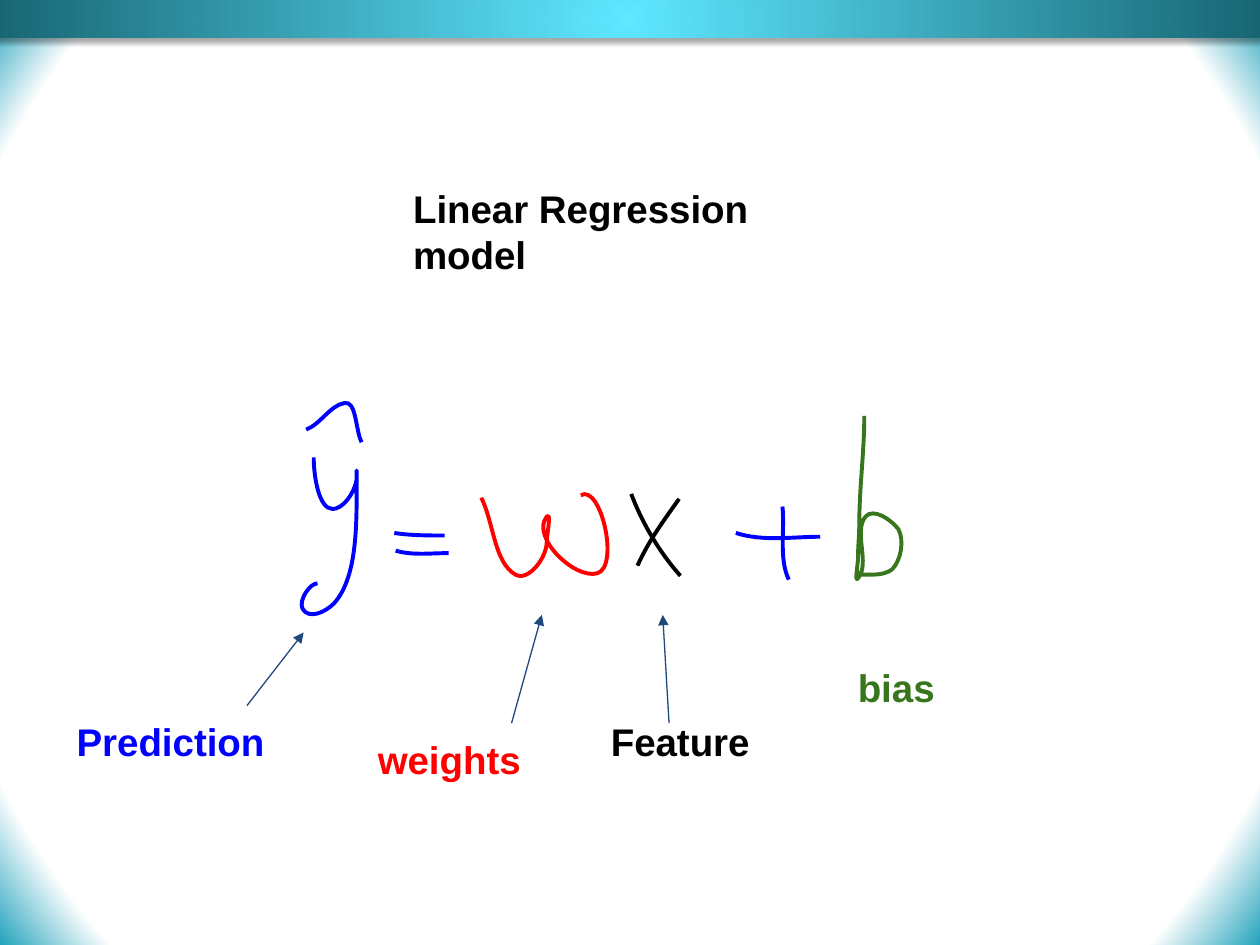
from lxml import etree
from pptx import Presentation
from pptx.dml.color import RGBColor
from pptx.enum.shapes import MSO_CONNECTOR, MSO_SHAPE
from pptx.enum.text import MSO_AUTO_SIZE
from pptx.oxml import parse_xml
from pptx.oxml.ns import nsdecls, qn
from pptx.util import Inches, Pt

BLACK, BLUE, RED, GREEN, NAVY = "000000", "0000FF", "FF0000", "38761D", "1F497D"
CURVE_STEPS = 20

FORMULA_STROKES = [
    (BLACK, [(5.01, 3.92), (5.1, 4.16), (5.24, 4.39), (5.4, 4.57)]),
    (BLUE, [(2.49, 3.63), (2.49, 3.78), (2.53, 4.04), (2.64, 4.04),
            (2.72, 4.04), (2.81, 3.92), (2.83, 3.81),
            (2.83, 3.78), (2.83, 3.71), (2.83, 3.74),
            (2.83, 4.1), (2.85, 4.57), (2.65, 4.79),
            (2.58, 4.86), (2.45, 4.92), (2.4, 4.83),
            (2.37, 4.76), (2.46, 4.63), (2.52, 4.63)]),
    (BLUE, [(3.13, 4.23), (3.26, 4.25), (3.4, 4.25), (3.53, 4.25)]),
    (BLUE, [(3.14, 4.37), (3.27, 4.41), (3.42, 4.39), (3.56, 4.39)]),
    (RED, [(3.82, 3.95), (3.92, 4.15), (3.92, 4.46), (4.09, 4.56),
           (4.19, 4.62), (4.34, 4.43), (4.34, 4.3),
           (4.34, 4.24), (4.38, 4.06), (4.34, 4.1),
           (4.21, 4.26), (4.56, 4.6), (4.74, 4.55),
           (4.92, 4.5), (4.77, 3.84), (4.61, 3.93)]),
    (BLACK, [(5.39, 3.96), (5.27, 4.13), (5.15, 4.29), (5.06, 4.49)]),
    (BLUE, [(5.84, 4.23), (6.06, 4.3), (6.29, 4.26), (6.51, 4.26)]),
    (BLUE, [(6.21, 4.02), (6.23, 4.21), (6.18, 4.43), (6.26, 4.6)]),
    (GREEN, [(6.86, 3.3), (6.86, 3.59), (6.82, 3.87), (6.82, 4.16),
             (6.82, 4.25), (6.81, 4.34), (6.81, 4.43),
             (6.81, 4.48), (6.78, 4.63), (6.81, 4.59),
             (6.91, 4.47), (6.77, 4.22), (6.87, 4.1),
             (6.93, 4.03), (7.07, 4.12), (7.13, 4.2),
             (7.18, 4.29), (7.15, 4.45), (7.08, 4.52),
             (7.01, 4.57), (6.92, 4.56), (6.84, 4.56),
             (6.83, 4.56), (6.8, 4.55), (6.8, 4.53)]),
    (BLUE, [(2.43, 3.41), (2.54, 3.37), (2.62, 3.22), (2.73, 3.2),
            (2.83, 3.17), (2.82, 3.41), (2.87, 3.51)]),
]


def color(value):
    return RGBColor.from_string(value)


def set_radial_fill(fill, element, stops):
    fill.solid()
    fill.fore_color.rgb = color(stops[0][1])
    stop_xml = "".join(
        f'<a:gs pos="{percent * 1000}"><a:srgbClr val="{value}"/></a:gs>'
        for percent, value in stops)
    gradient = parse_xml(
        f'<a:gradFill {nsdecls("a")} rotWithShape="1"><a:gsLst>{stop_xml}</a:gsLst>'
        '<a:path path="circle"><a:fillToRect l="50000" t="50000" r="50000" b="50000"/>'
        '</a:path></a:gradFill>')
    solid = element.find(".//" + qn("a:solidFill"))
    solid.getparent().replace(solid, gradient)


def add_top_bar(page, left, top, width, height):
    bar = page.shapes.add_shape(
        MSO_SHAPE.RECTANGLE, Inches(left), Inches(top), Inches(width), Inches(height))
    set_radial_fill(bar.fill, bar.element, [(0, "5EE7FF"), (100, "186674")])
    bar.line.fill.background()
    bar.shadow.inherit = False
    bar.element.spPr.find(qn("a:effectLst")).append(parse_xml(
        f'<a:outerShdw {nsdecls("a")} blurRad="{Pt(3.1)}" dist="{Pt(1.8)}" dir="5400000">'
        '<a:srgbClr val="000000"><a:alpha val="35000"/></a:srgbClr></a:outerShdw>'))


def add_label(page, text, value, left, top, width, height=0.57):
    box = page.shapes.add_textbox(
        Inches(left), Inches(top), Inches(width), Inches(height))
    frame = box.text_frame
    frame.word_wrap = True
    frame.auto_size = MSO_AUTO_SIZE.SHAPE_TO_FIT_TEXT
    frame.margin_left = frame.margin_right = Inches(0.1)
    frame.margin_top = frame.margin_bottom = Inches(0.1)
    para = frame.paragraphs[0]
    para.text = text
    para.font.name = "Arial"
    para.font.size = Pt(22)
    para.font.bold = True
    para.font.color.rgb = color(value)
    return box


def curve_extent(points, axis):
    reached = []
    for start in range(0, len(points) - 1, 3):
        a, b, c, d = (point[axis] for point in points[start:start + 4])
        for step in range(CURVE_STEPS + 1):
            t = step / CURVE_STEPS
            s = 1 - t
            reached.append(a * s ** 3 + 3 * b * t * s ** 2 + 3 * c * t ** 2 * s + d * t ** 3)
    return Inches(min(reached)), Inches(max(reached))


def add_stroke(group, value, points):
    left, right = curve_extent(points, 0)
    top, bottom = curve_extent(points, 1)
    builder = group.shapes.build_freeform(left, top)
    builder.add_line_segments([(right, bottom)], close=False)
    stroke = builder.convert_to_shape()
    outline = stroke.element.find(".//" + qn("a:path"))
    for segment in list(outline):
        outline.remove(segment)
    for index, (x, y) in enumerate(points):
        if index == 0:
            segment = etree.SubElement(outline, qn("a:moveTo"))
        elif index % 3 == 1:
            segment = etree.SubElement(outline, qn("a:cubicBezTo"))
        etree.SubElement(
            segment, qn("a:pt"), x=str(Inches(x) - left), y=str(Inches(y) - top))
    stroke.fill.background()
    stroke.line.color.rgb = color(value)
    stroke.line.width = Pt(2.25)
    stroke.shadow.inherit = False


def add_formula(page):
    group = page.shapes.add_group_shape()
    for value, points in FORMULA_STROKES:
        add_stroke(group, value, points)


def add_arrow(page, start, end):
    arrow = page.shapes.add_connector(
        MSO_CONNECTOR.STRAIGHT, *(Inches(length) for length in start + end))
    arrow.line.color.rgb = color(NAVY)
    arrow.line.width = Pt(0.75)
    properties = arrow.element.spPr
    etree.SubElement(properties.find(qn("a:ln")), qn("a:tailEnd"), type="triangle")
    etree.SubElement(properties, qn("a:effectLst"))
    return arrow


def main():
    deck = Presentation()
    deck.slide_width, deck.slide_height = Inches(10), Inches(7.5)
    page = deck.slides.add_slide(deck.slide_layouts[6])
    set_radial_fill(page.background.fill, page.element, [(89, "FFFFFF"), (100, "23A3BC")])
    add_top_bar(page, -0.05, 0, 10.05, 0.3)
    add_label(page, "Linear Regression model", BLACK, 3.18, 1.37, 3.41, 0.94)
    add_formula(page)
    add_label(page, "Feature", BLACK, 4.75, 5.6, 2.9)
    prediction = add_label(page, "Prediction", BLUE, 0.51, 5.6, 2.9)
    add_arrow(page, (5.31, 5.74), (5.26, 4.88))
    add_arrow(page, (4.06, 5.74), (4.3, 4.88))
    add_label(page, "weights", RED, 2.9, 5.74, 1.6)
    add_label(page, "bias", GREEN, 6.71, 5.17, 1.6)
    add_arrow(page, (1.96, 5.6), (2.41, 5.02)).begin_connect(prediction, 0)
    deck.save("out.pptx")


if __name__ == "__main__":
    main()
